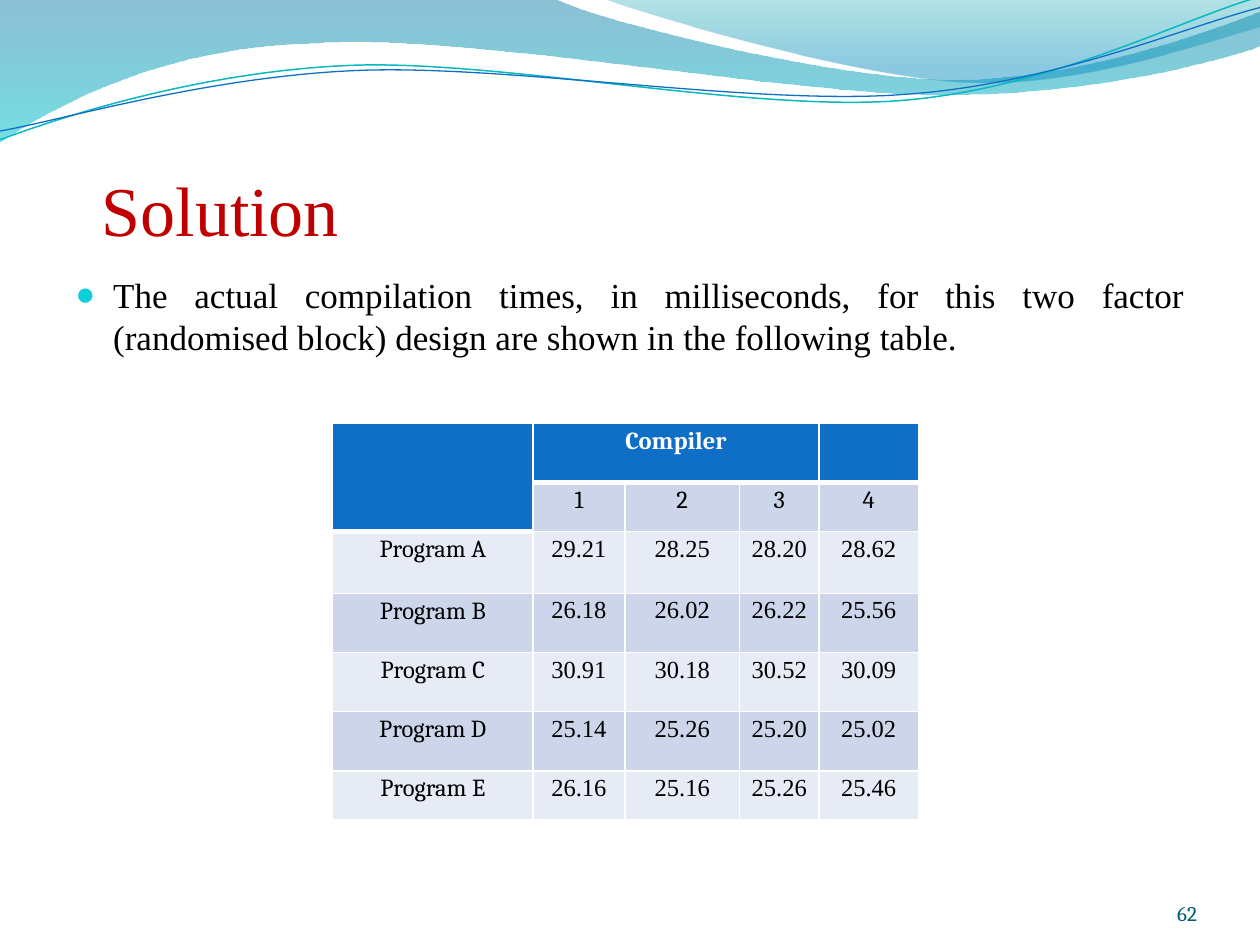
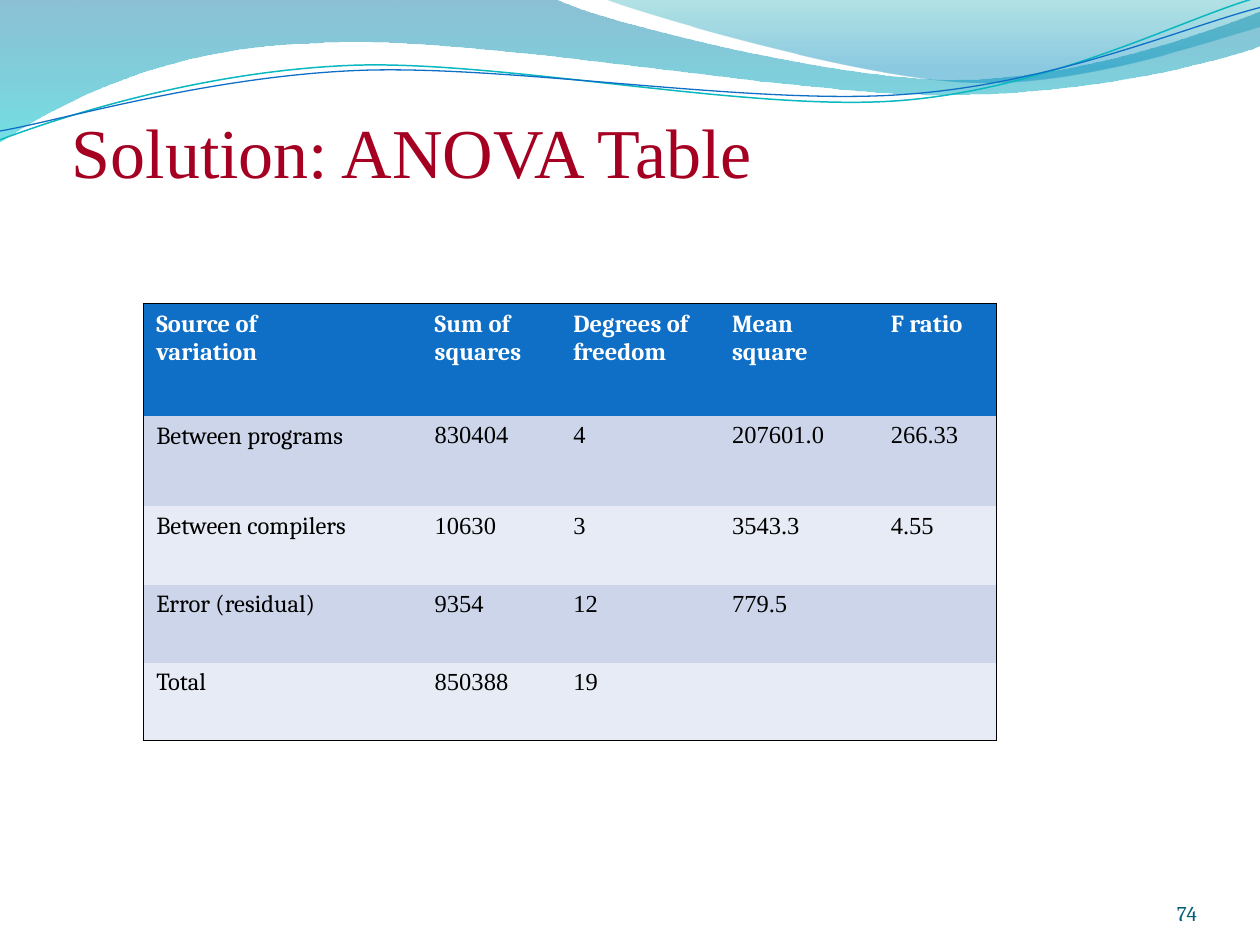
from lxml import etree
from pptx import Presentation
from pptx.dml.color import RGBColor
from pptx.enum.text import MSO_ANCHOR, PP_ALIGN
from pptx.oxml.ns import qn
from pptx.util import Inches, Pt

LEFT, CENTER, RIGHT = PP_ALIGN.LEFT, PP_ALIGN.CENTER, PP_ALIGN.RIGHT
JUSTIFY = PP_ALIGN.JUSTIFY
TOP, BOTTOM = MSO_ANCHOR.TOP, MSO_ANCHOR.BOTTOM
SERIF, ROMAN = "Cambria", "Times New Roman"
BLUE, DARK, LIGHT = "0F6FC6", "CCD5EA", "E7EBF5"
WHITE, BLACK = "FFFFFF", "000000"

# Content
NOTE = ("The actual compilation times, in milliseconds, for this two factor "
        "(randomised block) design are shown in the following table.")
TIMES = [
    ["", "Compiler", "", "", ""],
    ["", "1", "2", "3", "4"],
    ["Program A", "29.21", "28.25", "28.20", "28.62"],
    ["Program B", "26.18", "26.02", "26.22", "25.56"],
    ["Program C", "30.91", "30.18", "30.52", "30.09"],
    ["Program D", "25.14", "25.26", "25.20", "25.02"],
    ["Program E", "26.16", "25.16", "25.26", "25.46"],
]
ANOVA = [
    ["Source of\nvariation", "Sum of\nsquares", "Degrees of\nfreedom",
     "Mean\nsquare", "F ratio"],
    ["Between programs", "830404", "4", "207601.0", "266.33"],
    ["Between compilers", "10630", "3", "3543.3", "4.55"],
    ["Error (residual)", "9354", "12", "779.5", ""],
    ["Total", "850388", "19", "", ""],
]

# Waves: a start point, then lines (x, y) and curves (two handles, end)
BANDS = [
    ([(0, 0), (4.4, -0.01), (4.76, 0.17, 6.64, 0.63, 7.58, 0.63),
      (8.53, 0.63, 9.58, 0.26, 10, 0.09), (10.01, 0.36),
      (9.83, 0.44, 8.7, 0.76, 7.46, 0.75),
      (6.22, 0.75, 3.82, 0.28, 2.57, 0.34),
      (1.29, 0.36, 0.46, 0.83, -0.01, 1.13), (0, 0)],
     [(0, "0074A1", 45), (1, "00C6CF", 55)]),
    ([(4.79, -0.01), (5.09, 0.11, 6.82, 0.62, 7.69, 0.65),
      (8.56, 0.69, 9.61, 0.32, 10, 0.21), (10, 0), (4.79, -0.01)],
     [(0, "00A1A9", 30), (0.8, "008BBF", 45)]),
]
LINES = [
    ([(0, 1.11), (0.48, 0.93, 1.58, 0.57, 2.77, 0.52),
      (3.95, 0.47, 5.93, 0.89, 7.13, 0.8),
      (8.33, 0.71, 9.38, 0.15, 9.98, -0.02)], "0AB8BF", 0.85),
    ([(0, 1.04), (0.47, 0.96, 1.64, 0.61, 2.83, 0.56),
      (4.03, 0.51, 5.97, 0.84, 7.17, 0.75),
      (8.36, 0.67, 9.41, 0.21, 10, 0.06)], BLUE, 0.75),
]


def color(code):
    return RGBColor.from_string(code)


def write(frame, words, size=14, font=SERIF, ink=BLACK, bold=False,
          align=LEFT):
    for i, line in enumerate(words.split("\n")):
        para = frame.add_paragraph() if i else frame.paragraphs[0]
        para.alignment = align
        run = para.add_run()
        run.text = line
        run.font.size, run.font.name, run.font.bold = Pt(size), font, bold
        run.font.color.rgb = color(ink)


def pad(part, inset):
    (part.margin_left, part.margin_top,
     part.margin_right, part.margin_bottom) = map(Inches, inset)


def box(slide, place, words, inset=(0.1, 0.05, 0.1, 0.05), anchor=TOP,
        **form):
    frame = slide.shapes.add_textbox(*map(Inches, place)).text_frame
    frame.word_wrap, frame.vertical_anchor = True, anchor
    pad(frame, inset)
    write(frame, words, **form)
    return frame


def bullet(para, ink, indent):
    props = para._p.get_or_add_pPr()
    props.set("marL", str(Inches(indent)))
    props.set("indent", str(-Inches(indent)))
    tint = etree.SubElement(props, qn("a:buClr"))
    etree.SubElement(tint, qn("a:srgbClr"), val=ink)
    etree.SubElement(props, qn("a:buSzPct"), val="95000")
    etree.SubElement(props, qn("a:buFont"), typeface=ROMAN)
    etree.SubElement(props, qn("a:buChar"), char="●")


# Waves at the top of each slide
def outline(slide, steps, close):
    """Join the end points by lines, then bend those that have handles."""
    ends = [(Inches(step[-2]), Inches(step[-1])) for step in steps]
    pen = slide.shapes.build_freeform(*ends[0])
    pen.add_line_segments(ends[1:], close=close)
    shape = pen.convert_to_shape()
    shape.shadow.inherit = False
    legs = list(shape._element.spPr.iter(qn("a:lnTo")))
    for leg, step in zip(legs, steps[1:]):
        if len(step) == 2:
            continue
        leg.tag = qn("a:cubicBezTo")
        for n in (0, 2):
            spot = etree.Element(qn("a:pt"),
                                 x=str(Inches(step[n]) - shape.left),
                                 y=str(Inches(step[n + 1]) - shape.top))
            leg.insert(n // 2, spot)
    return shape


def waves(slide):
    for steps, stops in BANDS:
        shape = outline(slide, steps, True)
        shape.line.fill.background()
        shape.fill.gradient()
        shape.fill.gradient_angle = 270
        for stop, (spot, code, _) in zip(shape.fill.gradient_stops, stops):
            stop.position, stop.color.rgb = spot, color(code)
        tints = shape._element.spPr.iter(qn("a:srgbClr"))
        for tint, (_, _, alpha) in zip(tints, stops):
            etree.SubElement(tint, qn("a:alpha"), val=str(alpha * 1000))
    for steps, code, width in LINES:
        shape = outline(slide, steps, False)
        shape.fill.background()
        shape.line.color.rgb, shape.line.width = color(code), Pt(width)


def page(deck, title, place, inset, ink, number):
    slide = deck.slides.add_slide(deck.slide_layouts[6])
    waves(slide)
    box(slide, place, title, size=40, font=ROMAN, ink=ink, anchor=BOTTOM,
        inset=inset)
    box(slide, (8.67, 6.95, 0.83, 0.4), number, size=12, ink="045D75",
        align=RIGHT, anchor=BOTTOM, inset=(0, 0, 0, 0))
    return slide


# Tables
def edge(cell, side, code, width):
    """Draw one cell border; a width of 0 hides it."""
    line = etree.SubElement(cell._tc.get_or_add_tcPr(), qn("a:ln" + side),
                            w=str(Pt(width)))
    if width:
        fill = etree.SubElement(line, qn("a:solidFill"))
        etree.SubElement(fill, qn("a:srgbClr"), val=code)
    else:
        etree.SubElement(line, qn("a:noFill"))


def grid(slide, rows, spot, wide, high, heads, code, rule,
         inset=(0.1, 0.05, 0.1, 0.05), **form):
    """rule(row, col) gives the left, right, top and bottom border widths."""
    size = (sum(wide), sum(high))
    table = slide.shapes.add_table(len(rows), len(wide),
                                   *map(Inches, spot + size)).table
    table.first_row = table.horz_banding = False
    for col, width in zip(table.columns, wide):
        col.width = Inches(width)
    for line, height in zip(table.rows, high):
        line.height = Inches(height)
    for r, row in enumerate(rows):
        for c, words in enumerate(row):
            cell = table.cell(r, c)
            for side, width in zip("LRTB", rule(r, c)):
                edge(cell, side, code, width)
            cell.fill.solid()
            cell.fill.fore_color.rgb = color(
                BLUE if r == 0 else DARK if r % 2 else LIGHT)
            pad(cell, inset)
            if words:
                write(cell.text_frame, words, bold=r == 0,
                      ink=BLACK if r else WHITE,
                      font=SERIF if r < heads or c == 0 else ROMAN, **form)
    return table


def ruled(r, c):
    """Thin lines, with a heavy one under the header cells."""
    last = 0 if c else 1
    return 1, 1, 3 if r == last + 1 else 1, 3 if r <= last else 1


def framed(r, c):
    """A line round the outside only."""
    ends = (c == 0, c == len(ANOVA[0]) - 1, r == 0, r == len(ANOVA) - 1)
    return [1 if end else 0 for end in ends]


def main():
    deck = Presentation()
    deck.slide_width, deck.slide_height = Inches(10), Inches(7.5)

    # Compilation times
    slide = page(deck, "Solution", (0.5, 0.77, 9, 1.25),
                 (0.31, 0.05, 0, 0.03), "C00000", "62")
    frame = box(slide, (0.5, 2.12, 9, 4.8), NOTE, size=20, font=ROMAN,
                align=JUSTIFY)
    bullet(frame.paragraphs[0], "0BD0D9", 0.3)
    table = grid(slide, TIMES, (2.64, 3.36), (1.59, 0.73, 0.91, 0.63, 0.79),
                 (0.47, 0.39, 0.49, 0.47, 0.47, 0.47, 0.39), 2, WHITE, ruled,
                 align=CENTER, inset=(0.06, 0.03, 0.06, 0.03))
    table.cell(0, 0).merge(table.cell(1, 0))
    table.cell(0, 1).merge(table.cell(0, 3))

    # Analysis of variance
    slide = page(deck, "Solution: ANOVA Table", (0.43, 0.29, 9, 1.25),
                 (0.14, 0.05, 0, 0.01), "A50021", "74")
    grid(slide, ANOVA, (1.14, 2.41), (2.21, 1.1, 1.26, 1.26, 0.94),
         (0.89, 0.72, 0.62, 0.62, 0.62), 1, BLACK, framed)
    deck.save("out.pptx")


if __name__ == "__main__":
    main()
